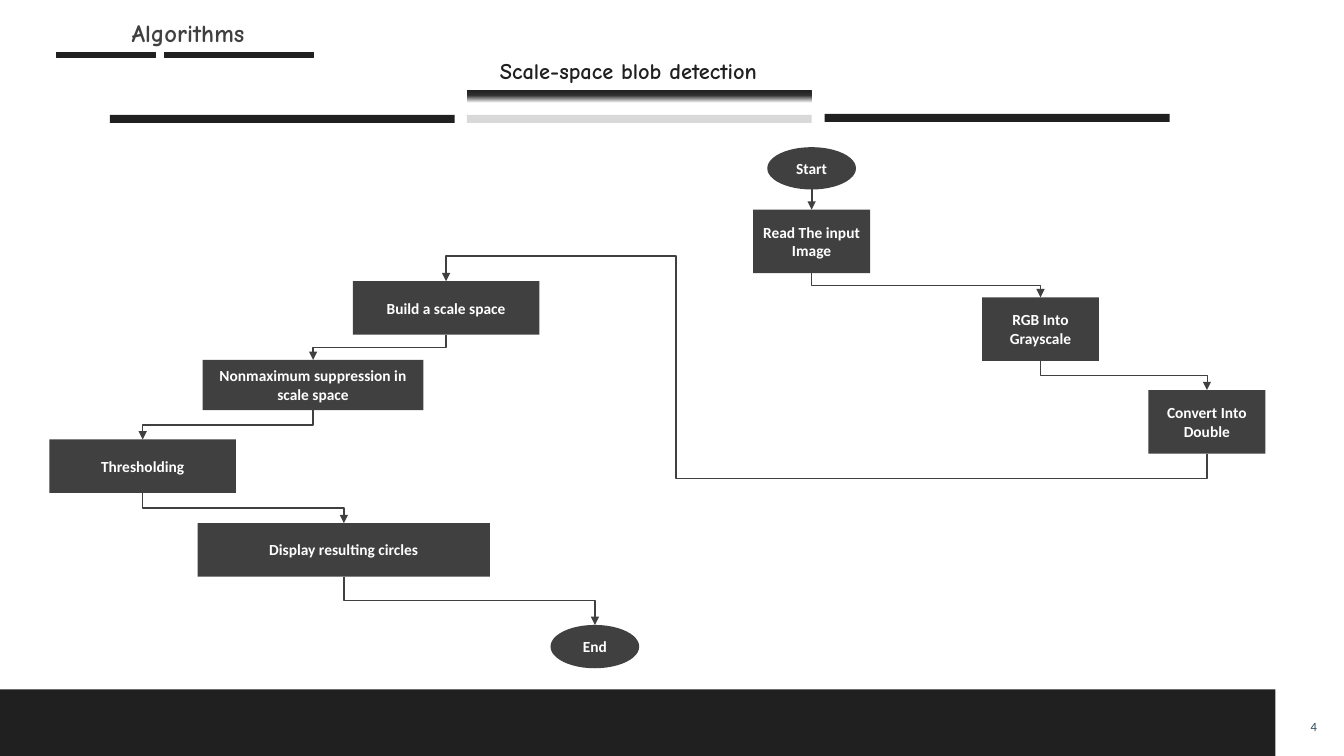
from dataclasses import dataclass
from itertools import pairwise

from lxml.etree import SubElement
from pptx import Presentation
from pptx.dml.color import RGBColor
from pptx.enum.shapes import MSO_CONNECTOR as LINK, MSO_SHAPE as SHAPE
from pptx.enum.text import MSO_ANCHOR as ANCHOR, PP_ALIGN as ALIGN
from pptx.oxml.ns import qn
from pptx.util import Pt

PX = 9144  # 100 px to the inch


@dataclass(frozen=True)
class Theme:
    dark: str = "202020"
    box: str = "404040"
    pale: str = "D9D9D9"
    white: str = "FFFFFF"
    number: str = "284956"
    heading_font: str = "Comic Neue"
    body_font: str = "Calibri"
    title_size: float = 17.6
    subtitle_size: float = 16
    step_size: float = 11
    number_size: float = 9


THEME = Theme()
SLIDE = (1333, 750)
TITLE = ("Algorithms", (42, 12, 289, 45))
SUBTITLE = ("Scale-space blob detection", (486, 52, 408, 37))
PAGE = ("4", (1287, 710, 32, 22))
FOOTER = (0, 684, 1265, 66)
TITLE_RULES = [(56, 52, 98, 5), (163, 52, 148, 5)]
SUBTITLE_RULES = [
    ((109, 114, 342, 8), THEME.dark),
    ((463, 114, 342, 8), THEME.pale),
    ((818, 113, 342, 8), THEME.dark),
]
FADE_RULE = (463, 89, 342, 33)
FADE = [(0, THEME.dark), (17, "303030"), (40, THEME.white), (100, THEME.white)]

# Steps in reading order: text, shape, place, width of the line to the next step
STEPS = [
    ("Start", SHAPE.OVAL, (761, 146, 88, 42), 1.5),
    ("Read The input Image", SHAPE.RECTANGLE, (747, 208, 116, 63), 0.5),
    ("RGB Into Grayscale", SHAPE.RECTANGLE, (974, 295, 116, 63), 0.5),
    ("Convert Into Double", SHAPE.RECTANGLE, (1139, 387, 116, 63), 1),
    ("Build a scale space", SHAPE.RECTANGLE, (350, 279, 185, 53), 1),
    ("Nonmaximum suppression in scale space", SHAPE.RECTANGLE, (201, 357, 219, 50), 1),
    ("Thresholding", SHAPE.RECTANGLE, (49, 436, 185, 53), 1),
    ("Display resulting circles", SHAPE.RECTANGLE, (196, 519, 290, 53), 1),
    ("End", SHAPE.OVAL, (546, 620, 88, 43), None),
]
DETOUR_X = 670  # column in which the line back up runs
DETOUR_GAP = 25  # its distance below and above the boxes


def emu(place):
    return [round(px * PX) for px in place]


def rgb(colour):
    return RGBColor.from_string(colour)


def write(shape, text, *, size, color, font=THEME.body_font, bold=True,
          align=ALIGN.CENTER, anchor=ANCHOR.MIDDLE, inset=(10, 5), spacing=None):
    frame = shape.text_frame
    frame.word_wrap = True
    frame.vertical_anchor = anchor
    frame.margin_left = frame.margin_right = inset[0] * PX
    frame.margin_top = frame.margin_bottom = inset[1] * PX
    frame.text = text
    paragraph = frame.paragraphs[0]
    paragraph.alignment = align
    paragraph.line_spacing = spacing
    style = paragraph.runs[0].font
    style.name, style.size, style.bold = font, Pt(size), bold
    style.color.rgb = rgb(color)


def add_block(slide, place, color, kind=SHAPE.RECTANGLE, outlined=False):
    block = slide.shapes.add_shape(kind, *emu(place))
    block.shadow.inherit = False
    block.fill.solid()
    block.fill.fore_color.rgb = rgb(color)
    if outlined:
        block.line.color.rgb = rgb(color)
        block.line.width = Pt(1)
    else:
        block.line.fill.background()
    return block


def add_fade(slide):
    block = add_block(slide, FADE_RULE, THEME.white)
    block.fill.gradient()
    block.fill.gradient_angle = 270
    stops = block.element.spPr.find(".//" + qn("a:gsLst"))
    for stop in list(stops):
        stops.remove(stop)
    for percent, color in FADE:
        stop = SubElement(stops, qn("a:gs"), pos=str(percent * 1000))
        SubElement(stop, qn("a:srgbClr"), val=color)


def bend(link, start, end):
    """Turn an elbow so that it leaves downwards and arrives from above."""
    (x1, y1), (x2, y2) = start, end
    dx, dy = x2 - x1, y2 - y1
    width, height = abs(dy), abs(dx)
    link.left, link.top, link.width, link.height = emu(
        ((x1 + x2 - width) / 2, (y1 + y2 - height) / 2, width, height))
    properties = link.element.spPr
    frame = properties.find(qn("a:xfrm"))
    frame.set("rot", str((270 if dx > 0 else 90) * 60000))
    frame.set("flipH", "1" if dx > 0 or dy < 0 else "0")
    frame.set("flipV", "0")
    if dy < 0:
        geometry = properties.find(qn("a:prstGeom"))
        geometry.set("prst", "bentConnector5")
        guides = geometry.find(qn("a:avLst"))
        gap = DETOUR_GAP / width
        for number, share in enumerate((-gap, (x1 - DETOUR_X) / height, 1 + gap), 1):
            SubElement(guides, qn("a:gd"), name=f"adj{number}",
                       fmla=f"val {round(share * 100000)}")


def connect(slide, source, target, width):
    """Join the bottom of one step to the top of the next with an arrow."""
    (origin, kind, (x, y, w, h)), (goal, _, (next_x, next_y, next_w, _)) = source, target
    start, end = (x + w / 2, y + h), (next_x + next_w / 2, next_y)
    straight = start[0] == end[0]
    link = slide.shapes.add_connector(
        LINK.STRAIGHT if straight else LINK.ELBOW, *emu(start + end))
    link.begin_connect(origin, 2)
    link.end_connect(goal, 0)
    if kind == SHAPE.OVAL:  # an ellipse has eight sites; its bottom is number 4
        link.element.find(".//" + qn("a:stCxn")).set("idx", "4")
    if not straight:
        bend(link, start, end)
    link.line.color.rgb = rgb(THEME.box)
    link.line.width = Pt(width)
    SubElement(link.line._get_or_add_ln(), qn("a:tailEnd"), type="triangle")
    SubElement(link.element.spPr, qn("a:effectLst"))


def main():
    deck = Presentation()
    deck.slide_width, deck.slide_height = emu(SLIDE)
    slide = deck.slides.add_slide(deck.slide_layouts[5])

    add_block(slide, FOOTER, THEME.dark)
    text, place = PAGE
    write(slide.shapes.add_textbox(*emu(place)), text, size=THEME.number_size,
          color=THEME.number, bold=False, inset=(0, 0))

    for place in TITLE_RULES:
        add_block(slide, place, THEME.dark, outlined=True)
    text, place = TITLE
    title = slide.shapes.title
    title.left, title.top, title.width, title.height = emu(place)
    write(title, text, size=THEME.title_size, color=THEME.box,
          font=THEME.heading_font, spacing=0.9)

    add_fade(slide)
    text, place = SUBTITLE
    write(slide.shapes.add_textbox(*emu(place)), text, size=THEME.subtitle_size,
          color=THEME.dark, font=THEME.heading_font, align=ALIGN.LEFT, anchor=ANCHOR.TOP)
    for place, color in SUBTITLE_RULES:
        add_block(slide, place, color)

    placed = []
    for text, kind, place, _ in STEPS:
        step = add_block(slide, place, THEME.box, kind)
        write(step, text, size=THEME.step_size, color=THEME.white)
        placed.append((step, kind, place))
    for (source, target), (*_, width) in zip(pairwise(placed), STEPS):
        connect(slide, source, target, width)

    deck.save("out.pptx")


if __name__ == "__main__":
    main()
